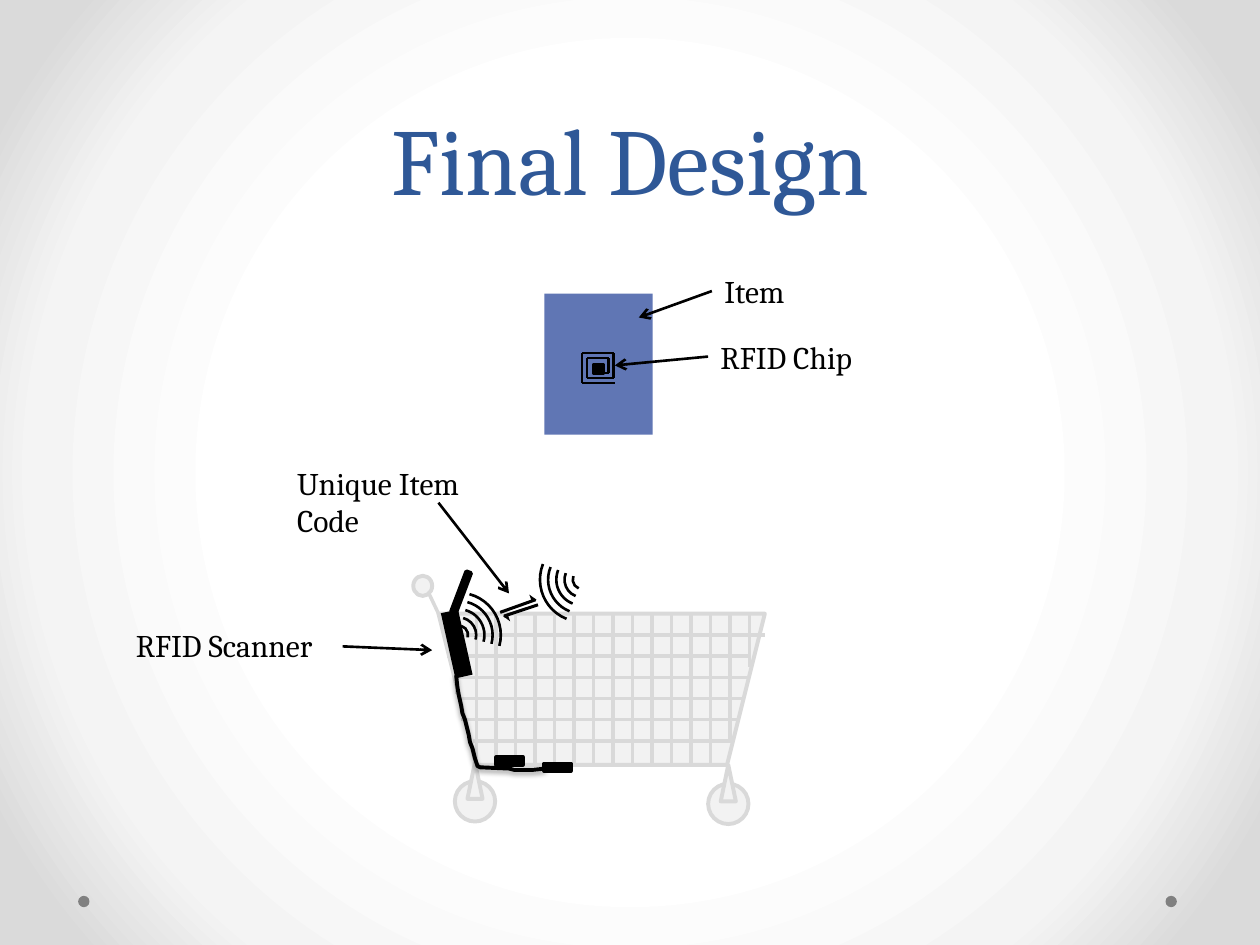
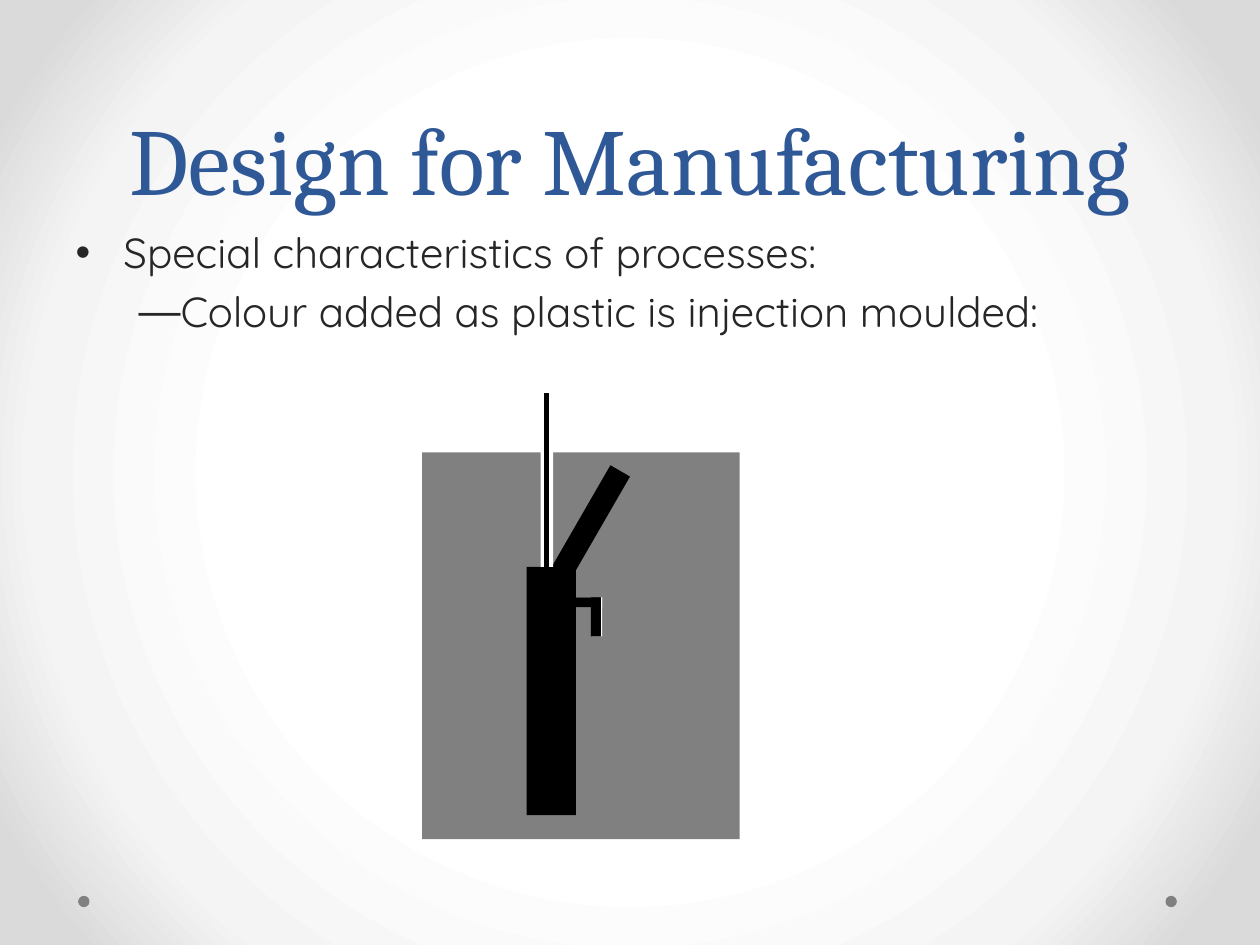
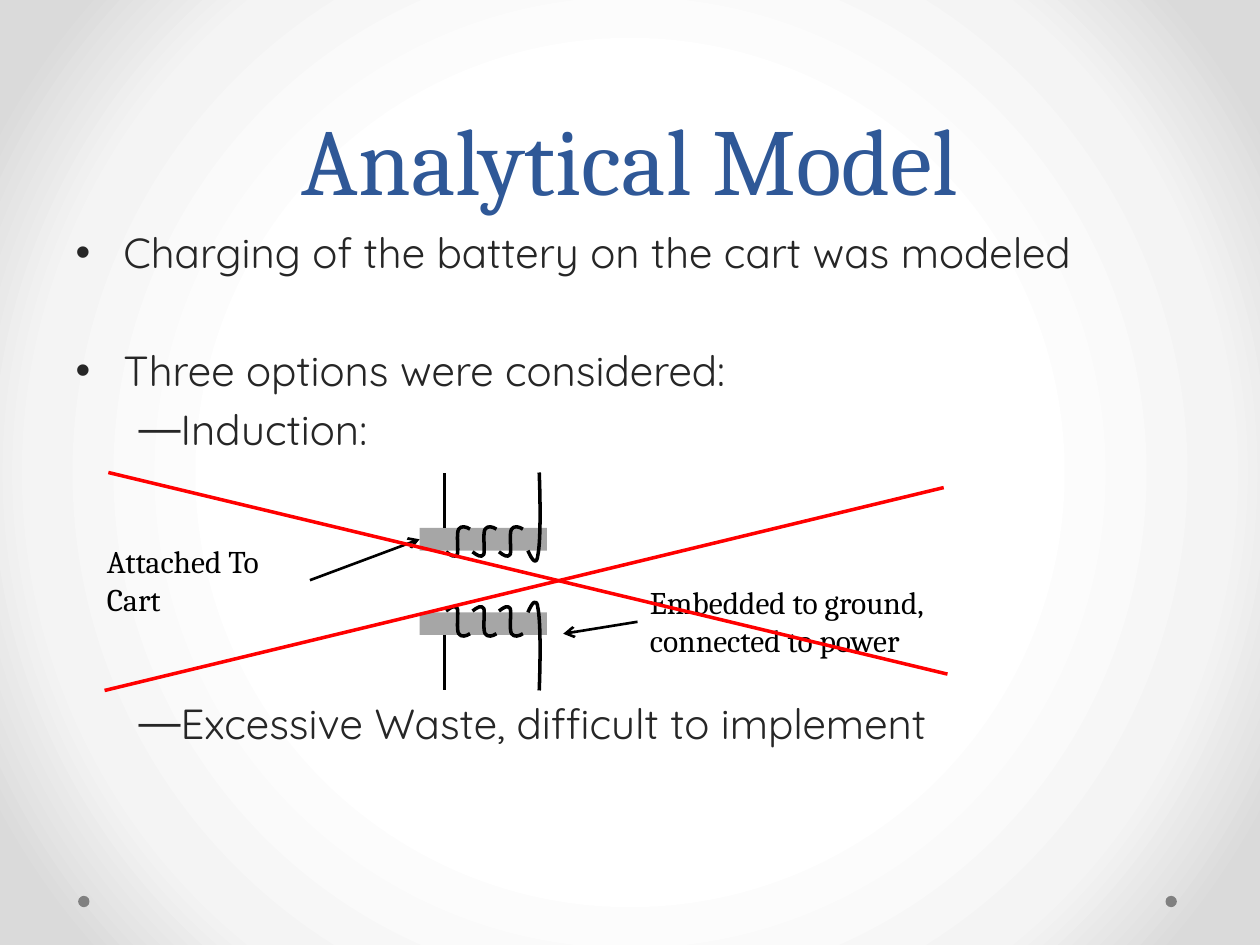
from lxml import etree
from pptx import Presentation
from pptx import oxml
from pptx import util as u
from pptx.dml.color import RGBColor
from pptx.enum import shapes, text
from pptx.oxml.ns import nsdecls, qn

COLORS = {
    "title": "2F5897", "body": "262626", "black": "000000", "white": "FFFFFF",
    "dot": "808080", "mould": "808080", "core": "A6A6A6", "reject": "FF0000",
    "item": "6076B4", "cart_fill": "F2F2F2", "cart_line": "D9D9D9",
}
BACKGROUND_STOPS = ((50, "FFFFFF"), (76, "F4F4F4"), (92, "DADADA"))
TITLE_FONT, BODY_FONT = "Cambria", "Quicksand"
BULLETS = (("•", 0.38, -0.38), ("―", 0.81, -0.31))  # mark, margin, indent
PARAGRAPH_GAP, LINE_PITCH = 4.8, 33.6
KIND = shapes.MSO_SHAPE
TOP, LEFT, BOTTOM, RIGHT = range(4)  # connection sites of a rectangle


def rgb(name):
    return RGBColor.from_string(COLORS[name])


def set_font(font, name, size, color):
    font.name, font.size = name, u.Pt(size)
    font.color.rgb = rgb(color)


class Region:
    """Draws on a slide in inches, measured from the region's top-left corner."""

    def __init__(self, slide, left, top):
        self.shapes, self.left, self.top = slide.shapes, left, top

    def point(self, x, y):
        return u.Inches(self.left + x), u.Inches(self.top + y)

    def paint(self, shape, fill, line, width):
        shape.shadow.inherit = False
        if fill:
            shape.fill.solid()
            shape.fill.fore_color.rgb = rgb(fill)
        else:
            shape.fill.background()
        if line:
            shape.line.color.rgb = rgb(line)
            shape.line.width = u.Pt(width)
        else:
            shape.line.fill.background()
        return shape

    def shape(self, kind, x, y, width, height, fill=None, line=None,
              line_width=2.25, rotation=0):
        shape = self.shapes.add_shape(kind, *self.point(x, y),
                                      u.Inches(width), u.Inches(height))
        shape.rotation = rotation
        return self.paint(shape, fill, line, line_width)

    def line(self, start, end, color="black", width=1.5, arrow=False):
        connector = self.shapes.add_connector(
            shapes.MSO_CONNECTOR.STRAIGHT, *self.point(*start), *self.point(*end))
        connector.line.color.rgb = rgb(color)
        connector.line.width = u.Pt(width)
        properties = connector.element.spPr
        if arrow:
            etree.SubElement(properties.find(qn("a:ln")), qn("a:tailEnd"), type="arrow")
        etree.SubElement(properties, qn("a:effectLst"))
        return connector

    def outline(self, points, width):
        builder = self.shapes.build_freeform(*self.point(*points[0]))
        builder.add_line_segments([self.point(*p) for p in points[1:]], close=False)
        return self.paint(builder.convert_to_shape(), None, "black", width)

    def curve(self, points, width):
        """Cubic curves: after the start, every three points are two controls and an end."""
        shape = self.outline(points, width)
        route = shape.element.find(".//" + qn("a:path"))
        segments = route.findall(qn("a:lnTo"))
        for first in range(0, len(segments), 3):
            cubic = etree.SubElement(route, qn("a:cubicBezTo"))
            for segment in segments[first:first + 3]:
                cubic.append(segment[0])
                route.remove(segment)
        return shape

    def label(self, words, x, y, width, height):
        box = self.shapes.add_textbox(*self.point(x, y), u.Inches(width), u.Inches(height))
        frame = box.text_frame
        frame.word_wrap = True
        frame.auto_size = text.MSO_AUTO_SIZE.SHAPE_TO_FIT_TEXT
        frame.text = words
        set_font(frame.paragraphs[0].runs[0].font, TITLE_FONT, 18, "black")
        return box


# ---- Shared look ----

def style_master(presentation, slide):
    master = presentation.slide_master
    master.background.fill.solid()
    stops = "".join(f'<a:gs pos="{position * 1000}"><a:srgbClr val="{color}"/></a:gs>'
                    for position, color in BACKGROUND_STOPS)
    gradient = oxml.parse_xml(
        f'<a:gradFill {nsdecls("a")} rotWithShape="1"><a:gsLst>{stops}</a:gsLst>'
        '<a:path path="circle"><a:fillToRect l="50000" t="50000" r="50000" b="50000"/>'
        '</a:path></a:gradFill>')
    solid = master.element.find(".//" + qn("p:bgPr")).find(qn("a:solidFill"))
    solid.getparent().replace(solid, gradient)

    # Footer dots, moved from the slide to the master
    region = Region(slide, 0, 7.11)
    for number, x in enumerate((9.25, 0.62), start=1):
        dot = region.shape(KIND.OVAL, x, 0, 0.09, 0.09, "dot")
        dot.name = f"Footer dot {number}"
        dot.element.nvSpPr.cNvPr.set("id", str(100 + number))
        master.element.cSld.spTree.append(dot.element)


def place(shape, left, top, width, height):
    shape.left, shape.top = u.Inches(left), u.Inches(top)
    shape.width, shape.height = u.Inches(width), u.Inches(height)


def add_title(slide, words):
    title = slide.shapes.title
    place(title, 0.5, 0, 9, 1.75)
    frame = title.text_frame
    frame.text = words
    frame.auto_size = text.MSO_AUTO_SIZE.NONE
    frame.vertical_anchor = text.MSO_ANCHOR.BOTTOM
    paragraph = frame.paragraphs[0]
    paragraph.alignment = text.PP_ALIGN.CENTER
    paragraph.line_spacing = u.Pt(58)
    set_font(paragraph.runs[0].font, TITLE_FONT, 54, "title")


def add_body(slide, height, entries):
    """Each entry is its level, its text and the number of lines left free above."""
    body = slide.placeholders[1]
    place(body, 0.5, 1.75, 9, height)
    frame = body.text_frame
    frame.auto_size = text.MSO_AUTO_SIZE.NONE
    for index, (level, words, free_lines) in enumerate(entries):
        paragraph = frame.add_paragraph() if index else frame.paragraphs[0]
        paragraph.text = words
        paragraph.level = level
        paragraph.space_before = u.Pt(PARAGRAPH_GAP + LINE_PITCH * free_lines if index else 0)
        mark, margin, indent = BULLETS[level]
        properties = paragraph._p.get_or_add_pPr()
        properties.set("marL", str(u.Inches(margin)))
        properties.set("indent", str(u.Inches(indent)))
        etree.SubElement(properties, qn("a:buChar"), char=mark)
        set_font(paragraph.runs[0].font, BODY_FONT, 24, "body")


# ---- Final design ----

def draw_cart(slide, left, top):
    cart = Region(slide, left, top)
    gray = {"fill": "cart_fill", "line": "cart_line"}
    bar = {"color": "cart_line", "width": 2}
    cart.shape(KIND.TRAPEZOID, 0.2, 0.3, 2.59, 1.2, rotation=180, **gray)
    # Basket mesh; the outer bars end at the slanted sides
    short_bars = {-1: 0.94, 13: 1.3, 14: 0.72}
    for column in range(-1, 15):
        x = 0.5 + 0.155 * column
        cart.line((x, short_bars.get(column, 1.5)), (x, 0.3), **bar)
    rows = ((0.25, 2.79), (0.27, 2.67), (0.35, 2.67),
            (0.37, 2.63), (0.38, 2.58), (0.47, 2.52))
    for row, (start, end) in enumerate(rows):
        y = 0.47 + 0.168 * row
        cart.line((start, y), (end, y), **bar)
    # Handle
    cart.line((0.2, 0.3), (0.11, 0.11), **bar)
    cart.shape(KIND.OVAL, 0, 0, 0.15, 0.16, **gray)
    # Wheels and forks
    for x, y in ((0.33, 1.63), (2.34, 1.65)):
        cart.shape(KIND.OVAL, x, y, 0.32, 0.32, **gray)
        cart.shape(KIND.ISOSCELES_TRIANGLE, x + 0.1, y - 0.15, 0.12, 0.29, **gray)


def draw_scanner(slide, left, top):
    scanner = Region(slide, left, top)
    scanner.shape(KIND.RECTANGLE, -0.04, 0.44, 0.53, 0.14, "black", rotation=257.4)
    for x, y in ((0.54, 1.41), (0.92, 1.46)):
        scanner.shape(KIND.RECTANGLE, x, y, 0.21, 0.06, "black", "black")
    cable = scanner.outline(
        ((0.93, 1.5), (0.83, 1.51), (0.68, 1.51), (0.64, 1.5), (0.41, 1.49),
         (0.39, 1.48), (0.37, 1.42), (0.35, 1.34), (0.33, 1.29), (0.32, 1.23),
         (0.31, 1.19), (0.29, 1.11), (0.27, 1.06), (0.26, 1), (0.24, 0.91),
         (0.23, 0.85), (0.22, 0.76)), 2.25)
    effects = cable.element.spPr.find(qn("a:effectLst"))
    effects.append(oxml.parse_xml(
        f'<a:outerShdw {nsdecls("a")} blurRad="{u.Pt(3.1)}" dist="{u.Pt(1.6)}" '
        'dir="5400000" rotWithShape="0"><a:srgbClr val="000000">'
        '<a:alpha val="38000"/></a:srgbClr></a:outerShdw>'))
    scanner.shape(KIND.RECTANGLE, 0.09, 0.08, 0.34, 0.04, "black", "black", rotation=290.8)


def draw_item(slide, left, top):
    item = Region(slide, left, top)
    item.shape(KIND.RECTANGLE, 0, 0, 0.86, 1.12, "item")
    item.shape(KIND.RECTANGLE, 0.39, 0.56, 0.08, 0.08, "black", "black", 1.25)
    # Spiral antenna
    corners = ((0.46, 0.63), (0.51, 0.63), (0.51, 0.51), (0.34, 0.51), (0.34, 0.67),
               (0.55, 0.67), (0.55, 0.47), (0.3, 0.47), (0.3, 0.71), (0.56, 0.71))
    for start, end in zip(corners, corners[1:]):
        item.line(start, end, width=1.25)


def draw_waves(slide, center_x, center_y, rotation):
    waves = Region(slide, center_x, center_y)
    for ring in range(5):
        size = 0.67 - 0.13 * ring
        waves.shape(KIND.ARC, -size / 2, -size / 2, size, size,
                    line="black", line_width=1.5, rotation=rotation)


def draw_exchange(slide, left, top):
    exchange = Region(slide, left, top)
    arrows = (((0.3, 0.09), (0.03, 0.18), (0.03, 0.17), 160.2),
              ((0, 0.15), (0.28, 0.05), (0.24, 0), 340.2))
    for start, end, head, rotation in arrows:
        exchange.line(start, end, width=1.75)
        exchange.shape(KIND.RIGHT_TRIANGLE, *head, 0.04, 0.06, "black", rotation=rotation)


def draw_callouts(slide, left, top):
    callouts = Region(slide, left, top)
    # Labels whose arrows leave from the middle of the left side
    for words, box, tip in (("Item", (4.67, 0, 1.4, 0.4), (4.09, 0.41)),
                            ("RFID Chip", (4.64, 0.52, 1.4, 0.4), (3.9, 0.79))):
        label = callouts.label(words, *box)
        callouts.line(box[:2], tip, arrow=True).begin_connect(label, LEFT)
    # Labels with free arrows
    for words, box, start, tip in (
            ("RFID Scanner", (0, 2.81, 1.87, 0.4), (1.74, 3.02), (2.45, 3.05)),
            ("Unique Item Code", (1.28, 1.52, 1.87, 0.71), (2.5, 1.88), (3.06, 2.6))):
        callouts.label(words, *box)
        callouts.line(start, tip, arrow=True)


def fill_final_design(slide):
    add_title(slide, "Final Design")
    draw_cart(slide, 3.28, 4.57)
    draw_scanner(slide, 3.4, 4.6)
    draw_item(slide, 4.32, 2.33)
    draw_waves(slide, 4.62, 4.6, 201.7)
    draw_waves(slide, 3.64, 5.04, 15)
    draw_exchange(slide, 3.97, 4.71)
    draw_callouts(slide, 0.98, 2.11)


# ---- Design for manufacturing ----

def draw_mould(slide, left, top):
    mould = Region(slide, left, top)
    mould.shape(KIND.RECTANGLE, 0, 0, 2.52, 3.07, "mould")
    # Hook with a thin white edge
    for color, x in (("white", 1.19), ("black", 1.18)):
        mould.shape(KIND.RECTANGLE, x, 1.15, 0.24, 0.08, color)
        mould.shape(KIND.RECTANGLE, x + 0.16, 1.15, 0.08, 0.31, color)
    # Scanner body and arm
    mould.shape(KIND.RECTANGLE, 0.83, 0.91, 0.39, 1.97, "black")
    mould.shape(KIND.RECTANGLE, 1.23, 0.08, 0.18, 1.01, "black", rotation=30)
    # Injection channel
    mould.shape(KIND.RECTANGLE, 0.94, -0.08, 0.1, 0.99, "white")
    mould.line((0.99, -0.47), (0.99, 2.88), width=3)


def fill_manufacturing(slide):
    add_title(slide, "Design for Manufacturing")
    add_body(slide, 1.69, ((0, "Special characteristics of processes:", 0),
                           (1, "Colour added as plastic is injection moulded:", 0)))
    draw_mould(slide, 3.35, 3.59)


# ---- Analytical model ----

LONG_LEAD = ((0.95, 0), (0.96, 0.27), (0.96, 0.55), (0.94, 0.65),
             (0.93, 0.75), (0.89, 0.69), (0.86, 0.62))
TURN = ((0.82, 0.45), (0.79, 0.43), (0.75, 0.42), (0.73, 0.45),
        (0.71, 0.48), (0.73, 0.62), (0.72, 0.65),
        (0.7, 0.68), (0.67, 0.66), (0.63, 0.63))


def draw_coil(slide, left, lead_end, direction):
    """Direction is 1 for leads that come from above and -1 from below."""
    coil = Region(slide, left, lead_end)
    core_top = 0.44 if direction > 0 else -0.62
    core = coil.shape(KIND.RECTANGLE, 0, core_top, 1.01, 0.18, "core")
    for wire, shift in ((LONG_LEAD, 0), (TURN, 0), (TURN, 0.21), (TURN, 0.42)):
        coil.curve([(x - shift, direction * y) for x, y in wire], 2)
    coil.line((0.2, direction * 0.44), (0.2, 0))
    return core


def draw_induction(slide, left, top):
    induction = Region(slide, left, top)
    cart_core = draw_coil(slide, left + 2.58, top, 1)
    draw_coil(slide, left + 2.58, top + 1.73, -1)
    # Labels and arrows
    label = induction.label("Attached To Cart", 0, 0.5, 1.71, 0.71)
    arrow = induction.line((1.71, 0.86), (2.58, 0.53), arrow=True)
    arrow.begin_connect(label, RIGHT)
    arrow.end_connect(cart_core, LEFT)
    label = induction.label("Embedded to ground, connected to power", 4.31, 0.83, 2.93, 0.71)
    arrow = induction.line((4.31, 1.18), (3.72, 1.28), arrow=True)
    arrow.begin_connect(label, LEFT)
    # Red cross over the rejected option
    for start, end in (((0.11, 0), (6.77, 1.6)), ((6.74, 0.12), (0.08, 1.73))):
        induction.line(start, end, "reject", 2)


def fill_analytical_model(slide):
    add_title(slide, "Analytical Model")
    add_body(slide, 4.95, ((0, "Charging of the battery on the cart was modeled", 0),
                           (0, "Three options were considered:", 1),
                           (1, "Induction:", 0),
                           (1, "Excessive Waste, difficult to implement", 4)))
    draw_induction(slide, 0.75, 3.75)


def main():
    presentation = Presentation()
    presentation.slide_width, presentation.slide_height = u.Inches(10), u.Inches(7.5)
    title_and_content, title_only = (presentation.slide_layouts[i] for i in (1, 5))
    final_design = presentation.slides.add_slide(title_only)
    style_master(presentation, final_design)
    fill_final_design(final_design)
    fill_manufacturing(presentation.slides.add_slide(title_and_content))
    fill_analytical_model(presentation.slides.add_slide(title_and_content))
    presentation.save("out.pptx")


if __name__ == "__main__":
    main()
